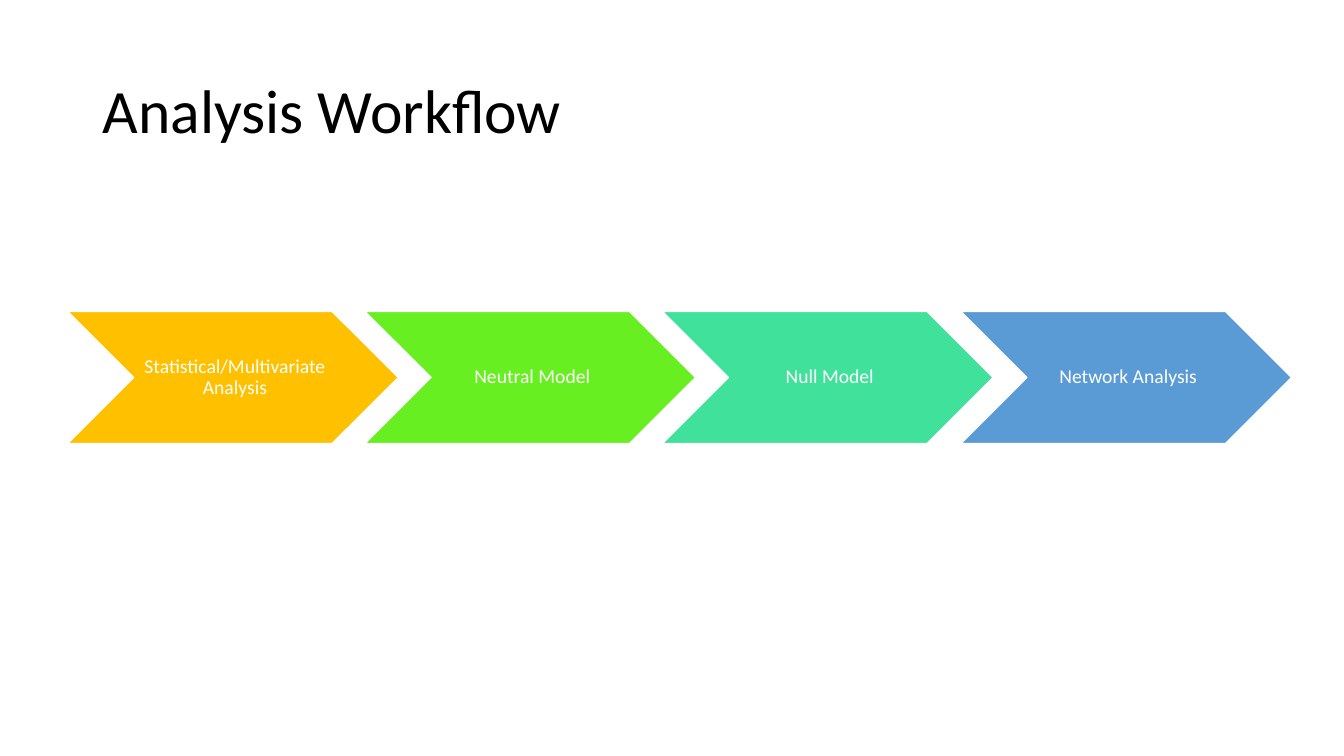
import pptx
import pptx.util
import pptx.dml.color
import pptx.enum.shapes
import pptx.enum.text

PX = 9144
ALIGN = pptx.enum.text.PP_ALIGN
THEME = {
    "font": "Calibri",
    "head": 44,
    "label": 14,
    "dark": "000000",
    "light": "FFFFFF",
    "steps": ["FFC000", "67EF21", "3FE19B", "5B9BD5"],
}


def write(shape, text, size, color, align=ALIGN.LEFT, inset=(10, 5, 10, 5)):
    frame = shape.text_frame
    frame.word_wrap = True
    frame.auto_size = pptx.enum.text.MSO_AUTO_SIZE.NONE
    frame.vertical_anchor = pptx.enum.text.MSO_ANCHOR.MIDDLE
    frame.margin_left, frame.margin_top, frame.margin_right, frame.margin_bottom = [
        side * PX for side in inset
    ]
    para = frame.paragraphs[0]
    para.alignment = align
    para.line_spacing = 0.9
    para.space_before = pptx.util.Pt(0)
    run = para.add_run()
    run.text = text
    run.font.name = THEME["font"]
    run.font.size = pptx.util.Pt(THEME[size])
    run.font.color.rgb = pptx.dml.color.RGBColor.from_string(THEME[color])


deck = pptx.Presentation()
deck.slide_width = 1333 * PX
deck.slide_height = 750 * PX
slide = deck.slides.add_slide(deck.slide_layouts[5])

title = slide.shapes.title
title.left, title.top, title.width, title.height = [
    side * PX for side in (92, 40, 1150, 145)
]
write(title, "Analysis Workflow", "head", "dark")

labels = [
    "Statistical/Multivariate Analysis",
    "Neutral Model",
    "Null Model",
    "Network Analysis",
]
first, last = 67, 953
for i, (label, fill) in enumerate(zip(labels, THEME["steps"])):
    left = first + (last - first) * i // (len(labels) - 1)
    step = slide.shapes.add_shape(
        pptx.enum.shapes.MSO_SHAPE.CHEVRON, left * PX, 309 * PX, 328 * PX, 131 * PX
    )
    step.shadow.inherit = False
    step.fill.solid()
    step.fill.fore_color.rgb = pptx.dml.color.RGBColor.from_string(fill)
    step.line.color.rgb = pptx.dml.color.RGBColor.from_string(THEME["light"])
    step.line.width = pptx.util.Pt(1)
    write(step, label, "label", "light", align=ALIGN.CENTER, inset=(6, 2, 2, 2))

deck.save("out.pptx")
